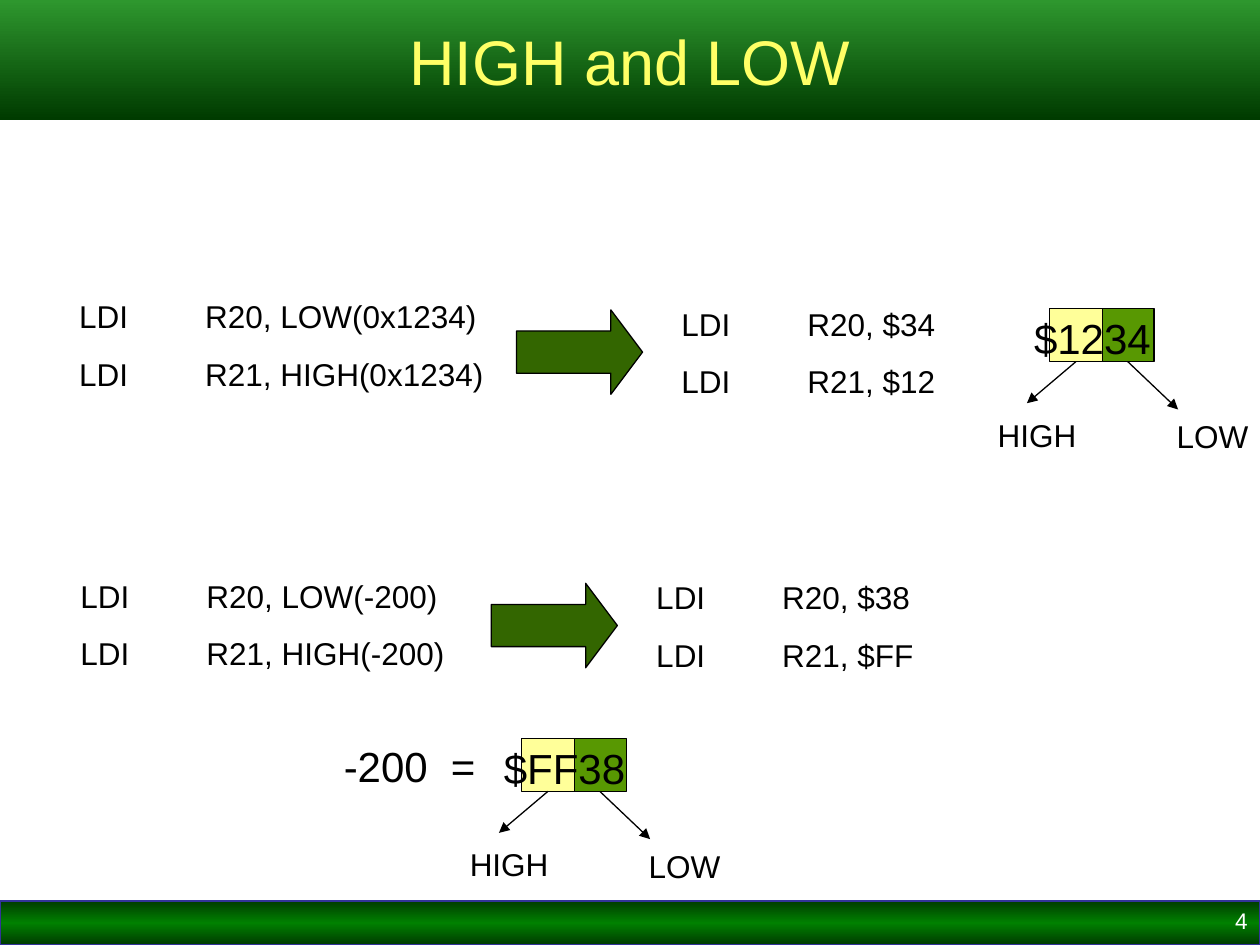
from copy import deepcopy
from dataclasses import dataclass

from lxml.etree import SubElement
from pptx import Presentation
from pptx.dml.color import RGBColor
from pptx.enum.shapes import MSO_CONNECTOR as CONN, MSO_SHAPE as SHAPE
from pptx.enum.text import MSO_ANCHOR as ANCHOR, MSO_AUTO_SIZE as AUTO, PP_ALIGN as ALIGN
from pptx.oxml.ns import qn
from pptx.util import Inches, Pt

BLACK, WHITE, YELLOW = "000000", "FFFFFF", "FFFF66"
DARK, GREEN, LIGHT = "003B00", "008000", "2E972E"
ARROW, HIGH_FILL, LOW_FILL = "336600", "FFFF99", "589802"
CELL = 0.42


@dataclass
class Conversion:
    code: list[str]
    code_at: tuple[float, float]
    result: list[str]
    arrow_at: tuple[float, float]


@dataclass
class Split:
    value: str
    x: float
    y: float


CONVERSIONS = [
    Conversion(["LDI\tR20, LOW(0x1234)", "LDI\tR21, HIGH(0x1234)"], (0.53, 2.31),
               ["LDI\tR20, $34", "LDI\tR21, $12"], (4.1, 2.46)),
    Conversion(["LDI\tR20, LOW(-200)", "LDI\tR21, HIGH(-200)"], (0.54, 4.53),
               ["LDI\tR20, $38", "LDI\tR21, $FF"], (3.9, 4.63)),
]
SPLITS = [Split("$1234", 8.33, 2.45), Split("$FF38", 4.14, 5.86)]


def rgb(value: str) -> RGBColor:
    """Turn a hex string into a colour."""
    return RGBColor.from_string(value)


def write(tf, lines: list[str], size: float = 18, color: str = BLACK, **fmt) -> None:
    """Write one paragraph per line with the given paragraph format."""
    tf.word_wrap = True
    for i, line in enumerate(lines):
        p = tf.paragraphs[0] if i == 0 else tf.add_paragraph()
        for name, value in fmt.items():
            setattr(p, name, value)
        r = p.add_run()
        r.text = line
        for name, value in {"size": Pt(size), "name": "Arial"}.items():
            setattr(r.font, name, value)
        r.font.color.rgb = rgb(color)


def add_text(s, lines: list[str], x: float, y: float, w: float, h: float,
             size: float = 18, tab: float = 1, **fmt) -> None:
    """Add a text box with one tab stop that grows with its text."""
    tf = s.shapes.add_textbox(*map(Inches, (x, y, w, h))).text_frame
    write(tf, lines, size, **{"space_before": Pt(size * 0.625), **fmt})
    tf.auto_size = AUTO.SHAPE_TO_FIT_TEXT
    for p in tf.paragraphs:
        tabs = SubElement(p._p.get_or_add_pPr(), qn("a:tabLst"))
        SubElement(tabs, qn("a:tab"), pos=str(Inches(tab)), algn="l")


def add_shape(s, kind, x: float, y: float, w: float, h: float,
              fill: str | None = None, line: str | None = BLACK):
    """Add a preset shape with a thin outline."""
    sp = s.shapes.add_shape(kind, *map(Inches, (x, y, w, h)))
    sp.shadow.inherit = False
    if fill:
        sp.fill.solid()
        sp.fill.fore_color.rgb = rgb(fill)
    if line:
        sp.line.color.rgb = rgb(line)
        sp.line.width = Pt(0.75)
    else:
        sp.line.fill.background()
    return sp


def add_band(s, y: float, h: float, colors: list[str], line: str | None = None):
    """Add a full-width band with a downward gradient of evenly spaced colours."""
    sp = add_shape(s, SHAPE.RECTANGLE, 0, y, 10, h, line=line)
    sp.fill.gradient()
    sp.fill.gradient_angle = 270
    stops = sp._element.spPr.find(qn("a:gradFill")).find(qn("a:gsLst"))
    for _ in colors[2:]:
        stops.append(deepcopy(stops[0]))
    for i, (stop, color) in enumerate(zip(sp.fill.gradient_stops, colors)):
        stop.position = i / (len(colors) - 1)
        stop.color.rgb = rgb(color)
    return sp


def add_pointer(s, box, x: float, y: float) -> None:
    """Draw an arrow from the bottom of a box to a point."""
    cx = s.shapes.add_connector(CONN.STRAIGHT, 0, 0, Inches(x), Inches(y))
    cx.begin_connect(box, 2)
    cx.line.color.rgb = rgb(BLACK)
    cx.line.width = Pt(0.75)
    SubElement(cx.line._get_or_add_ln(), qn("a:tailEnd"), type="triangle")
    SubElement(cx._element.spPr, qn("a:effectLst"))


def add_conversion(s, c: Conversion) -> None:
    """Draw source code, an arrow and the resulting code."""
    x, y = c.arrow_at
    add_text(s, c.code, *c.code_at, 3.67, 0.86)
    add_text(s, c.result, x + 1.21, y - 0.09, 2.65, 0.86)
    sp = add_shape(s, SHAPE.RIGHT_ARROW, x, y, 1, 0.67, ARROW)
    sp.adjustments[0], sp.adjustments[1] = 0.5, 0.375


def add_split(s, d: Split) -> None:
    """Draw a value over its high and low byte boxes with labels."""
    x, y = d.x, d.y
    low = add_shape(s, SHAPE.RECTANGLE, x + 0.41, y, CELL, CELL, LOW_FILL)
    high = add_shape(s, SHAPE.RECTANGLE, x, y, CELL, CELL, HIGH_FILL)
    add_text(s, [d.value], x - 0.37, y - 0.02, 1.42, 0.5, 24, alignment=ALIGN.CENTER)
    add_pointer(s, low, x + 1.02, y + 0.8)
    add_pointer(s, high, x - 0.18, y + 0.75)
    add_text(s, ["LOW"], x + 0.91, y + 0.81, 0.96, 0.4)
    add_text(s, ["HIGH"], x - 0.51, y + 0.8, 1.01, 0.4)


def main() -> None:
    """Build the slide and save it."""
    prs = Presentation()
    prs.slide_width, prs.slide_height = Inches(10), Inches(7.5)
    s = prs.slides.add_slide(prs.slide_layouts[6])

    add_band(s, 7.15, 0.35, [DARK, GREEN, DARK], "333399")
    add_text(s, ["4"], 7.67, 7.17, 2.33, 0.33, 12.9, color=WHITE,
             alignment=ALIGN.RIGHT, line_spacing=0.9, space_before=Pt(0))
    title = add_band(s, 0, 0.95, [LIGHT, DARK]).text_frame
    title.vertical_anchor = ANCHOR.MIDDLE
    write(title, ["HIGH and LOW"], 36, YELLOW, alignment=ALIGN.CENTER)

    for c in CONVERSIONS:
        add_conversion(s, c)
    for d in SPLITS:
        add_split(s, d)
    add_text(s, ["-200\t="], 2.63, 5.83, 1.49, 0.5, 24, tab=0.85)

    prs.save("out.pptx")


if __name__ == "__main__":
    main()
